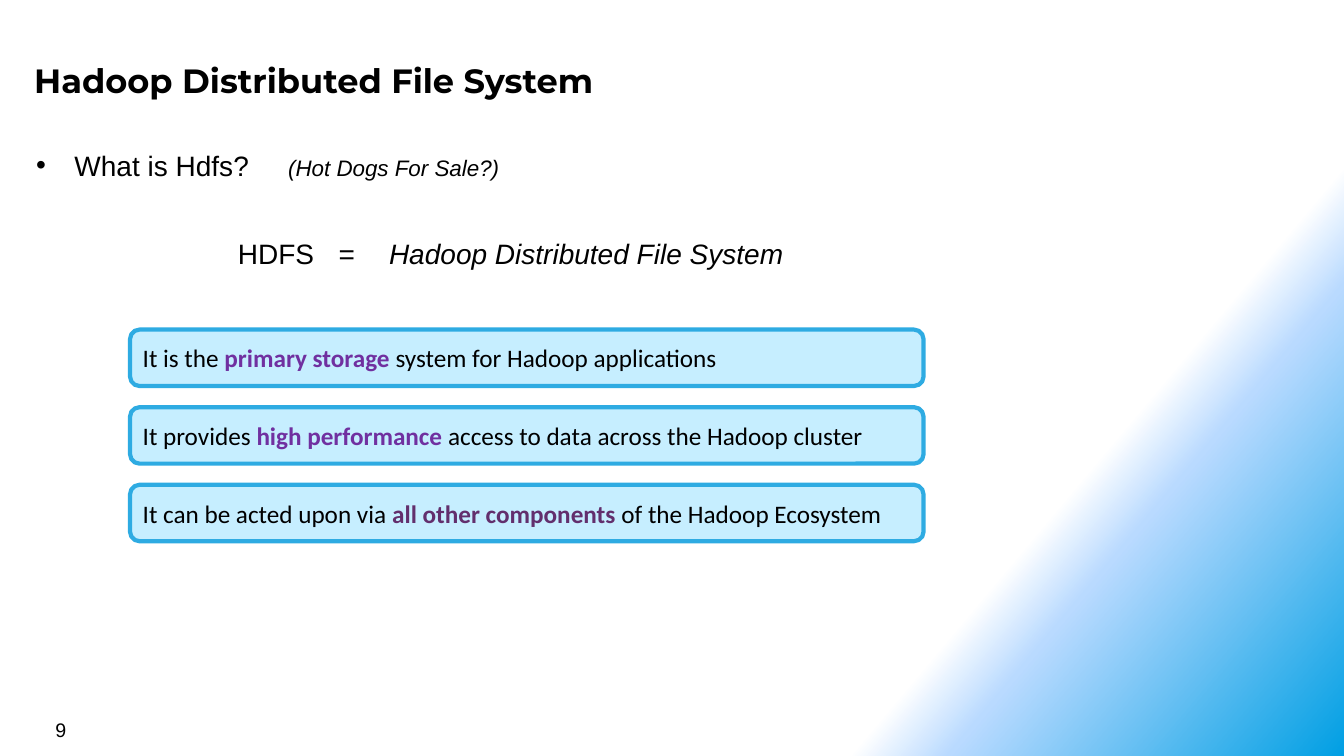
from lxml import etree
from pptx import Presentation
from pptx.dml.color import RGBColor
from pptx.enum.shapes import MSO_SHAPE
from pptx.enum.text import MSO_ANCHOR, PP_ALIGN
from pptx.oxml import parse_xml
from pptx.oxml.ns import nsdecls, qn
from pptx.util import Inches, Pt

COLORS = {
    "text": "000000", "card": "C6EEFF", "border": "2EABE2",
    "purple": "7030A0", "plum": "622F6D",
    "white": "FFFFFF", "pale": "B9DAFF", "blue": "009FE3",
}

prs = Presentation()
prs.slide_width, prs.slide_height = Inches(13.33), Inches(7.5)
slide = prs.slides.add_slide(prs.slide_layouts[6])


def add_run(paragraph, text, size, font="Arial", color="text", bold=False, italic=False):
    run = paragraph.add_run()
    run.text = text
    run.font.name, run.font.size = font, Pt(size)
    run.font.bold, run.font.italic = bold, italic
    run.font.color.rgb = RGBColor.from_string(COLORS[color])


def indent(paragraph, left, hanging, tabs, bullet=None):
    props = paragraph._p.get_or_add_pPr()
    props.set("marL", str(Inches(left)))
    props.set("indent", str(Inches(hanging)))
    if bullet:
        etree.SubElement(props, qn("a:buFont")).set("typeface", "Arial")
        etree.SubElement(props, qn("a:buChar")).set("char", bullet)
    else:
        etree.SubElement(props, qn("a:buNone"))
    tab_list = etree.SubElement(props, qn("a:tabLst"))
    for position in tabs:
        tab = etree.SubElement(tab_list, qn("a:tab"))
        tab.set("pos", str(Inches(position)))
        tab.set("algn", "l")


# Background: diagonal fade from white to blue
background = slide.background.fill
background.solid()
solid = slide.background._cSld.find(".//" + qn("a:solidFill"))
solid.getparent().replace(solid, parse_xml(
    f'<a:gradFill {nsdecls("a")} rotWithShape="1"><a:gsLst>'
    f'<a:gs pos="75000"><a:srgbClr val="{COLORS["white"]}"/></a:gs>'
    f'<a:gs pos="80000"><a:srgbClr val="{COLORS["pale"]}"><a:alpha val="50000"/></a:srgbClr></a:gs>'
    f'<a:gs pos="100000"><a:srgbClr val="{COLORS["blue"]}"/></a:gs>'
    '</a:gsLst><a:lin ang="2400000" scaled="0"/></a:gradFill>'))

# Title
title = slide.shapes.add_textbox(Inches(0.26), Inches(0.51), Inches(12.26), Inches(0.55)).text_frame
title.word_wrap = True
title.margin_left = title.margin_right = title.margin_top = title.margin_bottom = Inches(0.08)
add_run(title.paragraphs[0], "Hadoop Distributed File System", 24, "Montserrat", bold=True)

# Slide number
number = slide.shapes.add_textbox(Inches(0.45), Inches(7.07), Inches(3.11), Inches(0.33)).text_frame
number.word_wrap = True
add_run(number.paragraphs[0], "9", 14)

# Question and what the letters stand for
intro = slide.shapes.add_textbox(Inches(0.26), Inches(1.42), Inches(12.68), Inches(1.85)).text_frame
intro.word_wrap = True
question = intro.paragraphs[0]
indent(question, 0.38, -0.38, [2.5], "•")
add_run(question, "What is Hdfs?\t", 20)
add_run(question, "(Hot Dogs For Sale?)", 16, italic=True)
meaning = intro.add_paragraph()
indent(meaning, 2, 0, [3, 3.5])
meaning.space_before = Pt(39)
add_run(meaning, "HDFS \t= \t", 20)
add_run(meaning, "Hadoop Distributed File System", 20, italic=True)

# Key facts, one card each
facts = [
    ("It is the ", "primary storage ", "system for Hadoop applications", "purple"),
    ("It provides ", "high performance ", "access to data across the Hadoop cluster", "purple"),
    ("It can be acted upon via ", "all other components ", "of the Hadoop Ecosystem", "plum"),
]
for row, (start, key_phrase, ending, accent) in enumerate(facts):
    card = slide.shapes.add_shape(MSO_SHAPE.ROUNDED_RECTANGLE, Inches(1.29),
                                  Inches(3.27 + 0.77 * row), Inches(7.87), Inches(0.56))
    card.shadow.inherit = False
    card.fill.solid()
    card.fill.fore_color.rgb = RGBColor.from_string(COLORS["card"])
    card.line.color.rgb = RGBColor.from_string(COLORS["border"])
    card.line.width = Pt(3)
    frame = card.text_frame
    frame.word_wrap = True
    frame.vertical_anchor = MSO_ANCHOR.MIDDLE
    frame.margin_left = frame.margin_right = frame.margin_top = frame.margin_bottom = Inches(0.1)
    fact = frame.paragraphs[0]
    fact.alignment = PP_ALIGN.LEFT
    add_run(fact, start, 18, "Calibri")
    add_run(fact, key_phrase, 18, "Calibri", accent, bold=True)
    add_run(fact, ending, 18, "Calibri")

prs.save("out.pptx")
